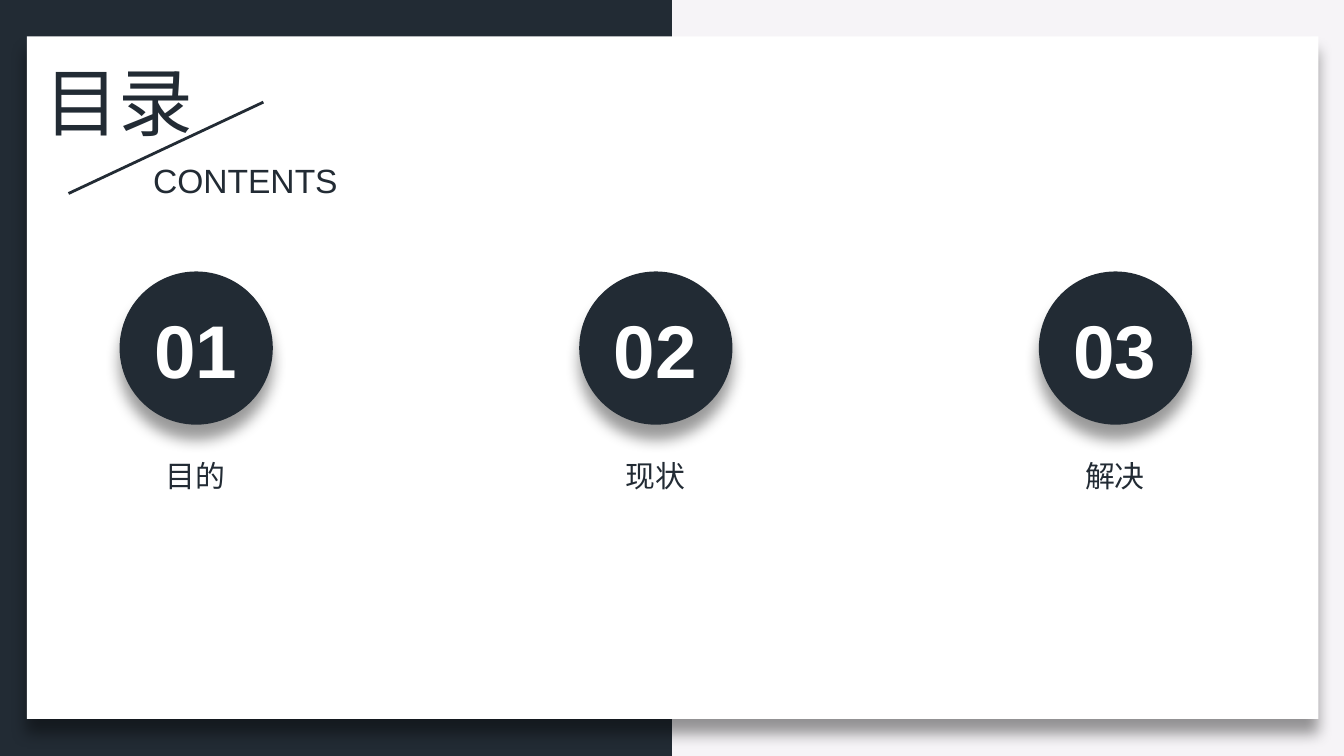
from typing import NamedTuple

from lxml.etree import SubElement
from pptx import Presentation
from pptx.dml.color import RGBColor
from pptx.enum.shapes import MSO_CONNECTOR, MSO_SHAPE as Shape
from pptx.enum.text import MSO_AUTO_SIZE as AutoSize, PP_ALIGN as Align
from pptx.oxml.ns import qn
from pptx.util import Inches, Pt

NAVY = RGBColor(0x22, 0x2B, 0x34)
WHITE = RGBColor(0xFF, 0xFF, 0xFF)
PALE = RGBColor(0xF6, 0xF4, 0xF7)
CJK = "Noto Sans CJK SC"
WIDTH = 10
HEIGHT = WIDTH * 9 / 16


class Box(NamedTuple):
    left: float
    top: float
    width: float
    height: float


class Style(NamedTuple):
    size: int
    font: str
    color: RGBColor = NAVY
    bold: bool = False
    align: Align = Align.CENTER


class Topic(NamedTuple):
    number: str
    label: str


TITLE = Style(40, "Calibri", align=Align.LEFT)
SUBTITLE = Style(18, "Arial", align=Align.LEFT)
NUMBER = Style(40, "Arial", WHITE, True)
LABEL = Style(16, CJK)

TOPICS = [Topic("01", "目的"), Topic("02", "现状"), Topic("03", "解决")]
FIRST_LEFT, PITCH, DIAMETER = 0.89, 3.42, 1.14


def add_shadow(shape) -> None:
    """Soft black shadow, straight down."""
    effects = shape._element.spPr.find(qn("a:effectLst"))
    shadow = SubElement(effects, qn("a:outerShdw"), blurRad=str(Pt(8)),
                        dist=str(Pt(8)), dir="5400000", algn="t", rotWithShape="0")
    color = SubElement(shadow, qn("a:srgbClr"), val="000000")
    SubElement(color, qn("a:alpha"), val="40000")


def add_block(s, kind: Shape, box: Box, color: RGBColor, shadow: bool = True) -> None:
    block = s.shapes.add_shape(kind, *map(Inches, box))
    block.fill.solid()
    block.fill.fore_color.rgb = color
    block.line.fill.background()
    block.shadow.inherit = False
    if shadow:
        add_shadow(block)


def add_text(s, text: str, box: Box, style: Style) -> None:
    tf = s.shapes.add_textbox(*map(Inches, box)).text_frame
    tf.word_wrap = False
    tf.auto_size = AutoSize.SHAPE_TO_FIT_TEXT
    p = tf.paragraphs[0]
    p.text = text
    p.alignment = style.align
    font = p.font
    font.size, font.name, font.bold = Pt(style.size), style.font, style.bold
    font.color.rgb = style.color
    # Typeface for Chinese characters
    SubElement(font._element, qn("a:ea"), typeface=CJK)


def add_topic(s, topic: Topic, left: float) -> None:
    add_block(s, Shape.OVAL, Box(left, 2.02, DIAMETER, DIAMETER), NAVY)
    add_text(s, topic.number, Box(left + 0.15, 2.21, 0.83, 0.77), NUMBER)
    add_text(s, topic.label, Box(left + 0.24, 3.36, 0.65, 0.37), LABEL)


prs = Presentation()
prs.slide_width, prs.slide_height = Inches(WIDTH), Inches(HEIGHT)
s = prs.slides.add_slide(prs.slide_layouts[6])

# Background and card
s.background.fill.solid()
s.background.fill.fore_color.rgb = PALE
add_block(s, Shape.RECTANGLE, Box(0, 0, WIDTH / 2, HEIGHT), NAVY, shadow=False)
add_block(s, Shape.RECTANGLE, Box(0.2, 0.27, 9.61, 5.08), WHITE)

# Heading with slanted rule
add_text(s, "目录", Box(0.23, 0.37, 1.32, 0.77), TITLE)
rule = s.shapes.add_connector(MSO_CONNECTOR.STRAIGHT, Inches(1.96), Inches(0.76),
                              Inches(0.51), Inches(1.44))
rule.line.color.rgb = NAVY
rule.line.width = Pt(1.5)
SubElement(rule._element.spPr, qn("a:effectLst"))
add_text(s, "CONTENTS", Box(1.04, 1.14, 1.59, 0.4), SUBTITLE)

# Topics
for i, topic in enumerate(TOPICS):
    add_topic(s, topic, FIRST_LEFT + i * PITCH)

prs.save("out.pptx")
